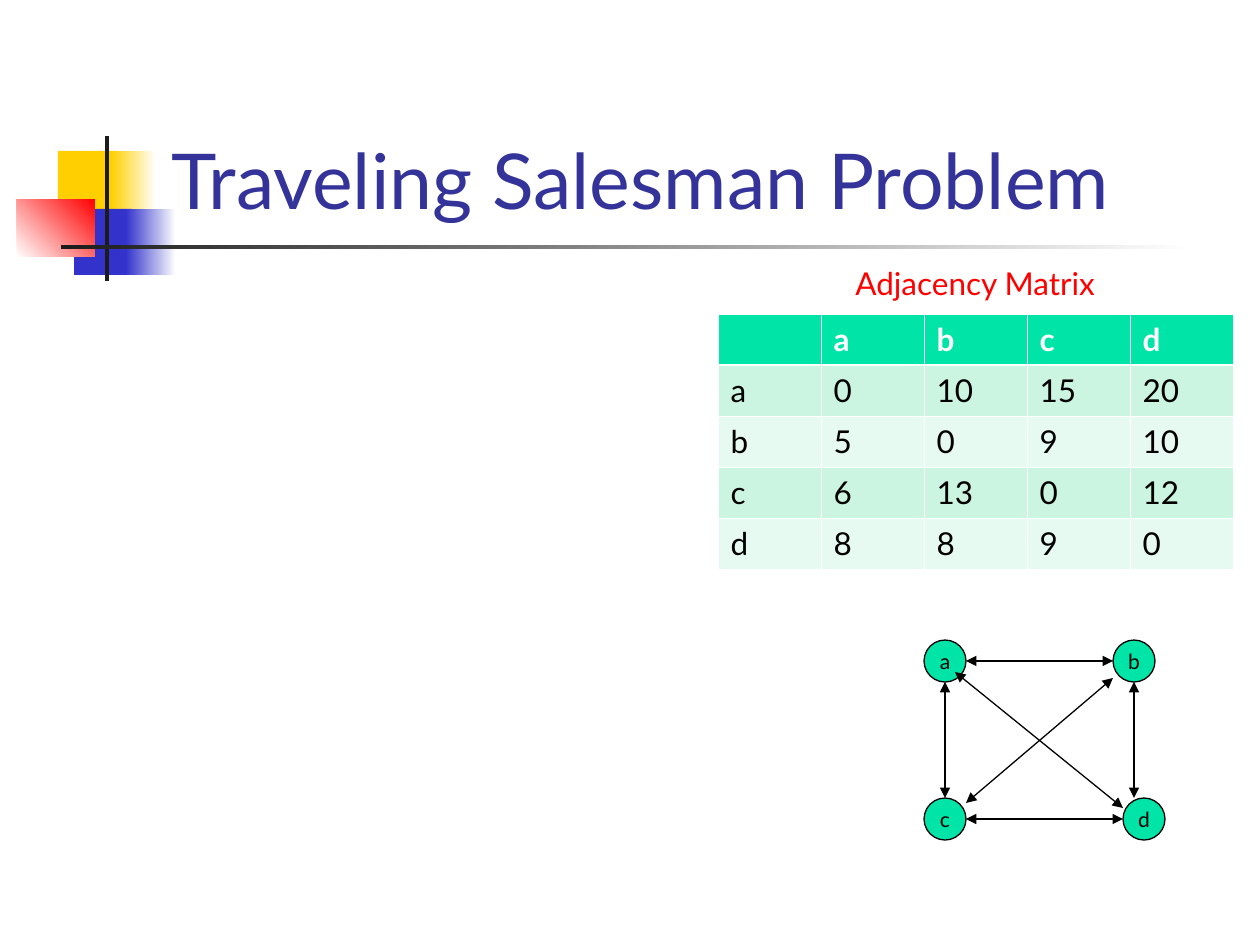
"""Build the Traveling Salesman Problem slide with its adjacency matrix and graph."""
from lxml.etree import SubElement
from pptx import Presentation
from pptx.dml.color import RGBColor
from pptx.enum.shapes import MSO_CONNECTOR, MSO_SHAPE
from pptx.enum.text import MSO_ANCHOR, MSO_AUTO_SIZE, PP_ALIGN
from pptx.oxml import parse_xml
from pptx.oxml.ns import nsdecls, qn
from pptx.util import Pt

SCALE = 914400 / 126
GREEN = "00E4A8"


def lengths(*pixels):
    return [round(value * SCALE) for value in pixels]


def style_text(frame, text, size, color, bold=False):
    frame.text = text
    para = frame.paragraphs[0]
    para.font.name = "Lato"
    para.font.size = Pt(size)
    para.font.bold = bold
    para.font.color.rgb = RGBColor.from_string(color)
    return para


deck = Presentation()
deck.slide_width, deck.slide_height = lengths(1260, 945)
page = deck.slides.add_slide(deck.slide_layouts[5])

ornaments = [
    ((58, 151, 60, 66), ["FFCF01"], 0),
    ((111, 151, 45, 66), ["FFCF01", "FFFFFF"], 0),
    ((74, 209, 58, 66), ["3333CC"], 0),
    ((126, 209, 50, 66), ["3333CC", "FFFFFF"], 0),
    ((17, 199, 78, 58), ["FFFFFF", "FF0000"], 45),
    ((105, 136, 4, 145), ["1C1C1C"], 0),
    ((61, 245, 1134, 4), ["1C1C1C", "FFFFFF"], 0),
]
for place, colors, angle in ornaments:
    block = page.shapes.add_shape(MSO_SHAPE.RECTANGLE, *lengths(*place))
    block.shadow.inherit = False
    block.line.fill.background()
    if len(colors) == 1:
        block.fill.solid()
        block.fill.fore_color.rgb = RGBColor.from_string(colors[0])
    else:
        block.fill.gradient()
        block.fill.gradient_angle = angle
        for stop, color in zip(block.fill.gradient_stops, colors):
            stop.color.rgb = RGBColor.from_string(color)

title = page.shapes.title
title.left, title.top, title.width, title.height = lengths(159, 29, 1073, 202)
title.text_frame.auto_size = MSO_AUTO_SIZE.NONE
title.text_frame.vertical_anchor = MSO_ANCHOR.BOTTOM
heading = style_text(title.text_frame, "Traveling Salesman Problem", 44, "333399")
heading.alignment = PP_ALIGN.LEFT

nodes = {"a": (924, 640), "b": (1113, 640), "c": (924, 798), "d": (1123, 798)}
for name, corner in nodes.items():
    node = page.shapes.add_shape(MSO_SHAPE.OVAL, *lengths(*corner, 42, 42))
    node.shadow.inherit = False
    node.fill.solid()
    node.fill.fore_color.rgb = RGBColor.from_string(GREEN)
    node.line.color.rgb = RGBColor.from_string("000000")
    node.line.width = Pt(0.75)
    node.text_frame.word_wrap = False
    node.text_frame.vertical_anchor = MSO_ANCHOR.MIDDLE
    style_text(node.text_frame, name, 12, "000000").alignment = PP_ALIGN.CENTER

edges = [
    (966, 661, 1113, 661),
    (945, 682, 945, 798),
    (966, 819, 1123, 819),
    (1134, 682, 1134, 798),
    (955, 672, 1123, 808),
    (966, 803, 1113, 678),
]
for ends in edges:
    edge = page.shapes.add_connector(MSO_CONNECTOR.STRAIGHT, *lengths(*ends))
    edge.line.color.rgb = RGBColor.from_string("000000")
    edge.line.width = Pt(0.75)
    outline = edge.line._get_or_add_ln()
    for arrowhead in ("a:headEnd", "a:tailEnd"):
        SubElement(outline, qn(arrowhead), type="triangle")
    SubElement(edge._element.spPr, qn("a:effectLst"))

matrix = [
    ["", "a", "b", "c", "d"],
    ["a", "0", "10", "15", "20"],
    ["b", "5", "0", "9", "10"],
    ["c", "6", "13", "0", "12"],
    ["d", "8", "8", "9", "0"],
]
table = page.shapes.add_table(5, 5, *lengths(718, 314, 515, 255)).table
for column in table.columns:
    column.width = lengths(103)[0]
for row_index, values in enumerate(matrix):
    table.rows[row_index].height = lengths(51)[0]
    header = row_index == 0
    shade = GREEN if header else ("E7FAF1", "CBF5E1")[row_index % 2]
    for column_index, value in enumerate(values):
        cell = table.cell(row_index, column_index)
        cell.fill.solid()
        cell.fill.fore_color.rgb = RGBColor.from_string(shade)
        style_text(cell.text_frame, value, 18, "FFFFFF" if header else "000000", header)
        properties = cell._tc.get_or_add_tcPr()
        for position, side in enumerate("LRTB"):
            thick = (row_index, side) in ((0, "B"), (1, "T"))
            width = Pt(1.47 if thick else 0.45)
            properties.insert(position, parse_xml(
                f'<a:ln{side} {nsdecls("a")} w="{width}"><a:solidFill>'
                f'<a:srgbClr val="FFFFFF"/></a:solidFill></a:ln{side}>'))

caption = page.shapes.add_textbox(*lengths(843, 258, 277, 50))
caption.text_frame.word_wrap = False
caption.text_frame.auto_size = MSO_AUTO_SIZE.SHAPE_TO_FIT_TEXT
style_text(caption.text_frame, "Adjacency Matrix", 18, "FF0000")

deck.save("out.pptx")
